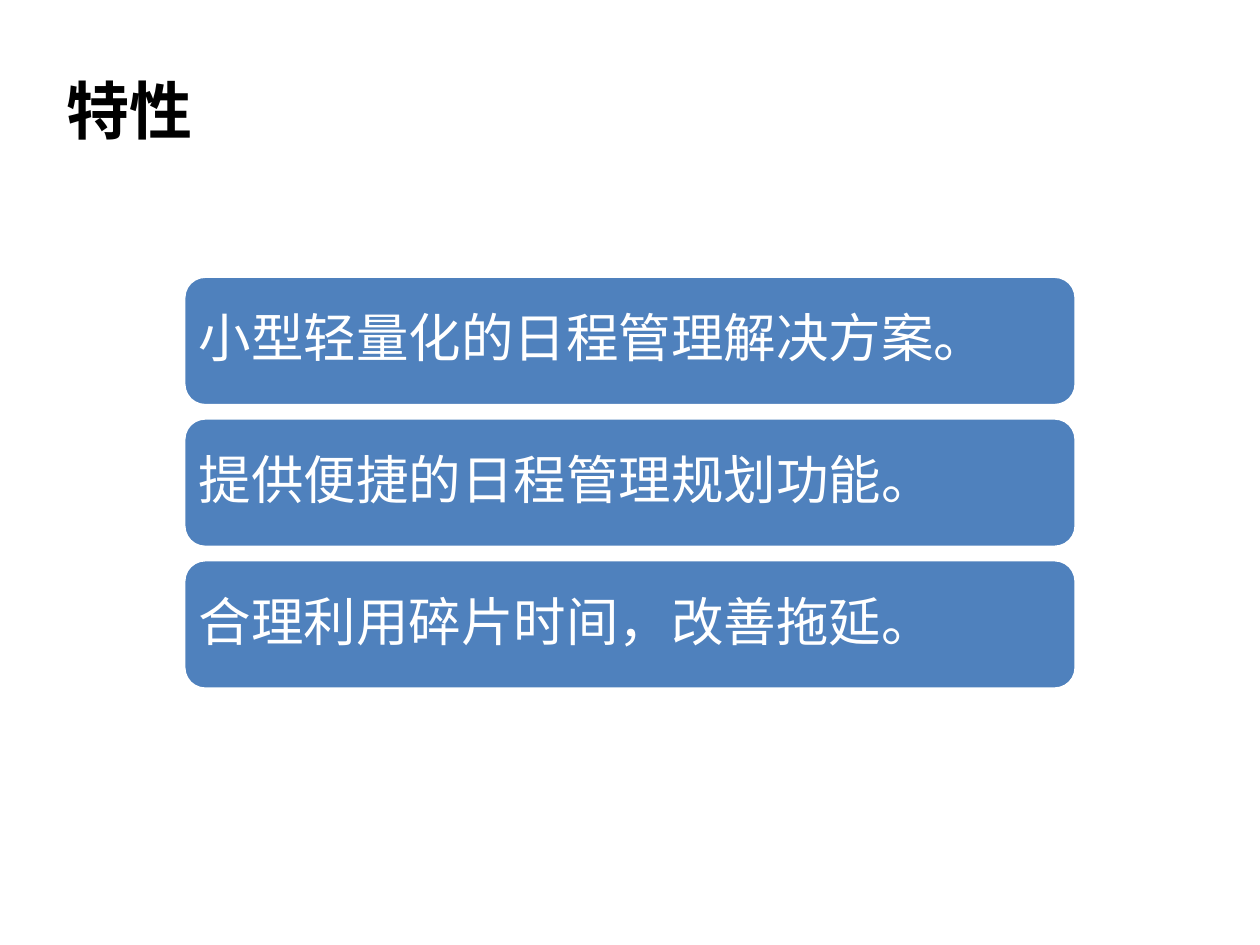
from pptx import Presentation
from pptx.dml.color import RGBColor
from pptx.enum.shapes import MSO_SHAPE
from pptx.enum.text import MSO_ANCHOR, PP_ALIGN
from pptx.oxml.ns import qn
from pptx.util import Pt
from lxml.etree import SubElement

COLORS = {"title": "000000", "bar": "4F81BD", "white": "FFFFFF"}
FONT = "Noto Sans CJK SC"


def write(tf, text, size, color, bold=False, spacing=1.0, inset=(7.2, 3.6), wrap=True,
          anchor=MSO_ANCHOR.MIDDLE):
    tf.word_wrap = wrap
    tf.vertical_anchor = anchor
    tf.margin_left = tf.margin_right = Pt(inset[0])
    tf.margin_top = tf.margin_bottom = Pt(inset[1])
    p = tf.paragraphs[0]
    p.alignment = PP_ALIGN.LEFT
    p.line_spacing = spacing
    r = p.add_run()
    r.text = text
    r.font.size = Pt(size)
    r.font.bold = bold
    r.font.name = FONT
    r.font.color.rgb = RGBColor.from_string(COLORS[color])
    # Chinese text takes the East Asian typeface
    SubElement(r.font._element, qn("a:ea")).set("typeface", FONT)


prs = Presentation()
prs.slide_width, prs.slide_height = Pt(720), Pt(540)
s = prs.slides.add_slide(prs.slide_layouts[5])

# Title
title = s.shapes.title
title.left, title.top, title.width, title.height = Pt(31), Pt(37.5), Pt(87), Pt(51)
write(title.text_frame, "特性", 36, "title", bold=True, wrap=False, anchor=MSO_ANCHOR.TOP)

# Feature bars
features = [
    "小型轻量化的日程管理解决方案。",
    "提供便捷的日程管理规划功能。",
    "合理利用碎片时间，改善拖延。",
]
LEFT, TOP, WIDTH, HEIGHT, GAP = 105, 157.8, 510, 74, 7
for i, feature in enumerate(features):
    sp = s.shapes.add_shape(MSO_SHAPE.ROUNDED_RECTANGLE, Pt(LEFT),
                            Pt(TOP + i * (HEIGHT + GAP)), Pt(WIDTH), Pt(HEIGHT))
    sp.shadow.inherit = False
    sp.fill.solid()
    sp.fill.fore_color.rgb = RGBColor.from_string(COLORS["bar"])
    sp.line.color.rgb = RGBColor.from_string(COLORS["white"])
    sp.line.width = Pt(2)
    write(sp.text_frame, feature, 30, "white", spacing=0.9, inset=(5, 5))

prs.save("out.pptx")
